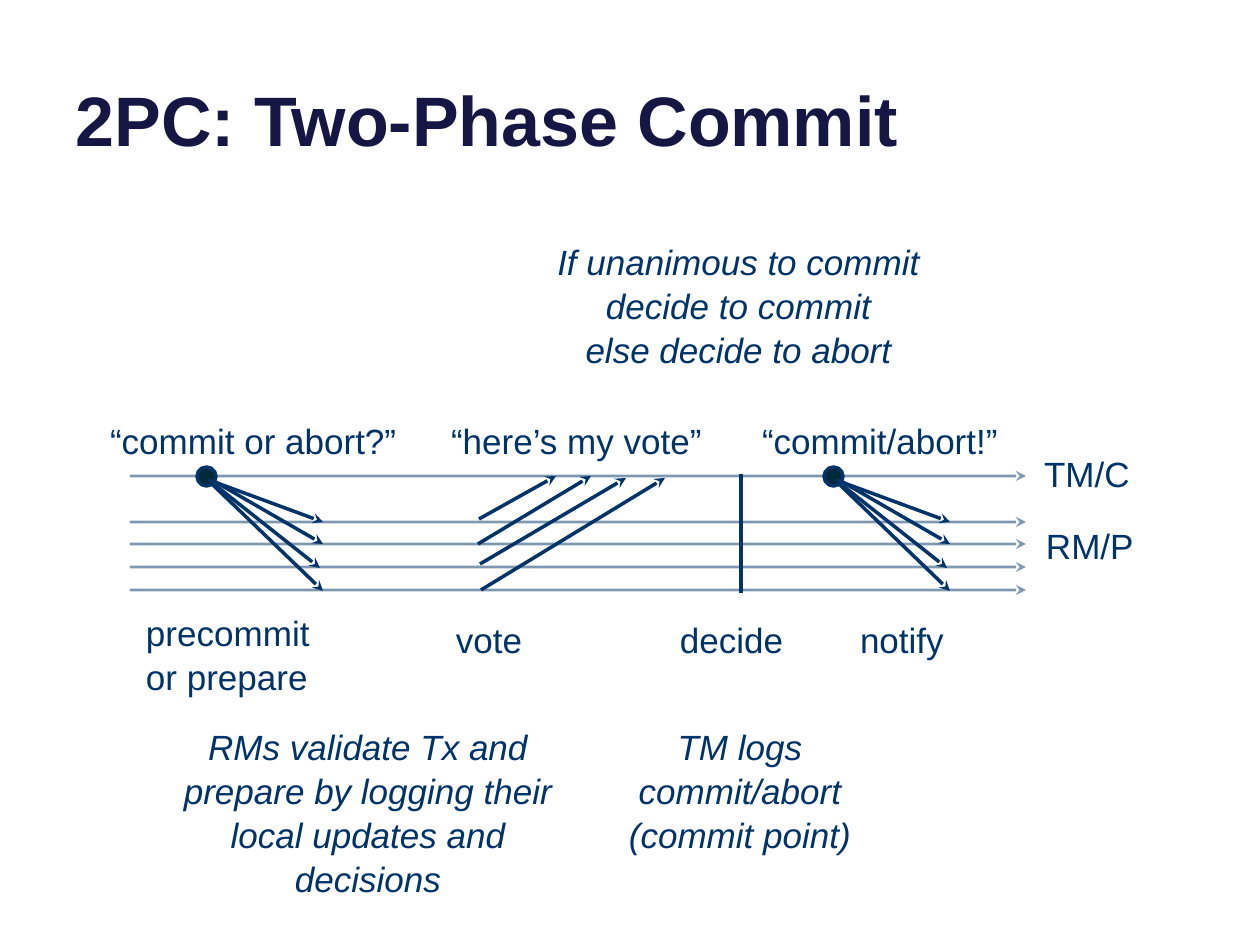
from lxml.etree import SubElement
from pptx import Presentation
from pptx.dml.color import RGBColor
from pptx.enum.shapes import MSO_CONNECTOR as CONN, MSO_SHAPE as SHAPE
from pptx.enum.text import MSO_ANCHOR as ANCHOR, MSO_AUTO_SIZE as FIT, PP_ALIGN as ALIGN
from pptx.oxml.ns import qn
from pptx.util import Pt

# Content, lengths in px
FONT = "Arial"
COLORS = {"title": "161645", "ink": "003367", "dot": "002939"}
TITLE = "2PC: Two-Phase Commit"

TIMELINE_X = (130, 1026)
TIMELINE_Y = [590, 567, 544, 522, 476]
DOT = (197, 467, 19)  # left, top, diameter
FAN = [  # arrow tip, arrow start
    ((323, 522), (209, 480)),
    ((323, 544), (212, 480)),
    ((320, 568), (215, 485)),
    ((323, 591), (213, 485)),
]
VOTES = [
    ((556, 476), (479, 519)),
    ((591, 476), (478, 544)),
    ((626, 478), (480, 564)),
    ((665, 478), (481, 590)),
]
NOTIFY_SHIFT = 627
DECIDE = ((741, 474), (741, 593))

LABELS = [  # left, top, width, height, lines
    (105, 417, 307, 53, ["“commit or abort?”"]),
    (446, 417, 271, 53, ["“here’s my vote”"]),
    (757, 417, 257, 53, ["“commit/abort!”"]),
    (1039, 450, 107, 53, ["TM/C"]),
    (1041, 522, 108, 53, ["RM/P"]),
    (141, 609, 185, 93, ["precommit", "or prepare"]),
    (451, 616, 87, 53, ["vote"]),
    (675, 616, 125, 53, ["decide"]),
    (855, 616, 106, 53, ["notify"]),
]
NOTES = [
    (175, 723, 386, 174,
     ["RMs validate Tx and prepare by logging their local updates and decisions"]),
    (600, 723, 280, 134, ["TM logs commit/abort (commit point)"]),
    (547, 238, 383, 174,
     ["If unanimous to commit", "decide to commit", "else decide to abort"]),
]


def px(n):
    return round(n * 914400 / 126)


def rgb(name):
    return RGBColor.from_string(COLORS[name])


def add_line(shapes, start, end, width=2, arrow=True, alpha=None):
    """Draw a line; the arrowhead, if any, sits at start."""
    c = shapes.add_connector(CONN.STRAIGHT, *map(px, start + end))
    c.line.color.rgb = rgb("ink")
    c.line.width = Pt(width)
    ln = c.line._ln
    if alpha:
        SubElement(ln.find(".//" + qn("a:srgbClr")), qn("a:alpha"), val=str(alpha * 1000))
    if arrow:
        SubElement(ln, qn("a:headEnd"), type="stealth")
    SubElement(c._element.spPr, qn("a:effectLst"))


def add_fan(shapes, shift):
    group = shapes.add_group_shape().shapes
    left, top, size = DOT
    dot = group.add_shape(SHAPE.OVAL, px(left + shift), px(top), px(size), px(size))
    dot.shadow.inherit = False
    dot.fill.solid()
    dot.fill.fore_color.rgb = rgb("dot")
    dot.line.color.rgb = rgb("ink")
    dot.line.width = Pt(2)
    for (x1, y1), (x2, y2) in FAN:
        add_line(group, (x1 + shift, y1), (x2 + shift, y2))


def add_text(shapes, left, top, width, height, lines, note=False):
    tf = shapes.add_textbox(*map(px, (left, top, width, height))).text_frame
    tf.word_wrap = note
    tf.auto_size = FIT.NONE
    tf.margin_left = tf.margin_top = tf.margin_bottom = 0
    tf.margin_right = px(5)
    tf.text = "\n".join(lines)
    for p in tf.paragraphs:
        p.alignment = ALIGN.CENTER if note else ALIGN.LEFT
        p.line_spacing = 1.05
        p._p.get_or_add_pPr().set("marL", str(px(5)))
        font = p.runs[0].font
        font.name, font.size, font.italic = FONT, Pt(20), note
        font.color.rgb = rgb("ink")


prs = Presentation()
prs.slide_width, prs.slide_height = px(1260), px(945)
s = prs.slides.add_slide(prs.slide_layouts[5])
shapes = s.shapes

# Title
title = shapes.title
title.left, title.top, title.width, title.height = map(px, (63, -47, 1134, 214))
tf = title.text_frame
tf.text = TITLE
tf.vertical_anchor = ANCHOR.BOTTOM
tf.auto_size = FIT.NONE
tf.margin_right = px(18)
p = tf.paragraphs[0]
p.alignment = ALIGN.LEFT
font = p.runs[0].font
font.name, font.size, font.bold = FONT, Pt(40), True
font.color.rgb = rgb("title")

# Timelines
for y in TIMELINE_Y:
    add_line(shapes, (TIMELINE_X[1], y), (TIMELINE_X[0], y), width=1.5, alpha=50)

# Messages: prepare, vote, notify
add_fan(shapes, 0)
votes = shapes.add_group_shape().shapes
for tip, start in VOTES:
    add_line(votes, tip, start)
add_fan(shapes, NOTIFY_SHIFT)

# Labels and notes
for label in LABELS:
    add_text(shapes, *label)
for note in NOTES:
    add_text(shapes, *note, note=True)

# Decision point
add_line(shapes, *DECIDE, arrow=False)

prs.save("out.pptx")
